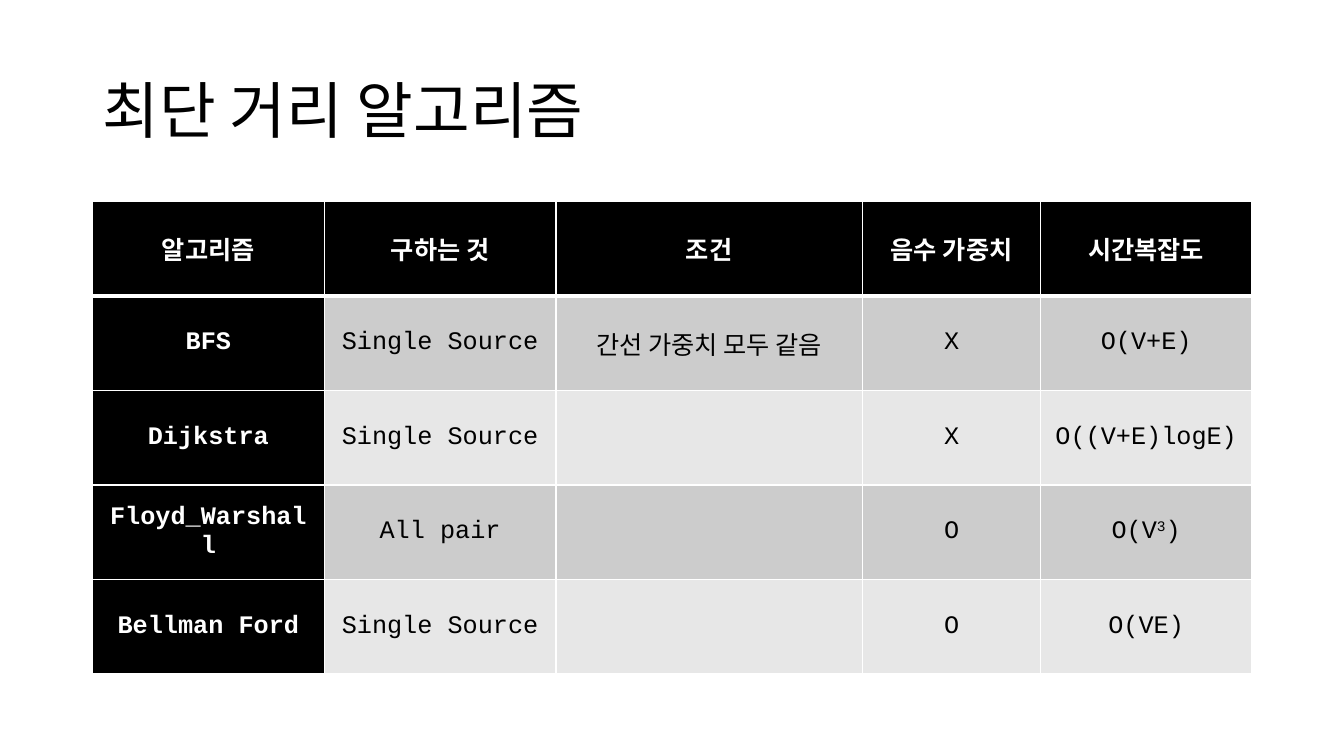
from dataclasses import dataclass

from lxml.etree import SubElement
from pptx import Presentation
from pptx.dml.color import RGBColor
from pptx.enum.text import MSO_ANCHOR, PP_ALIGN
from pptx.oxml.ns import qn
from pptx.util import Cm, Pt

TITLE = "최단 거리 알고리즘"
HEADER = ("알고리즘", "구하는 것", "조건", "음수 가중치", "시간복잡도")
# A tuple inside a row holds the spans of one cell; every second span is raised.
ALGORITHMS = (
    ("BFS", "Single Source", "간선 가중치 모두 같음", "X", "O(V+E)"),
    ("Dijkstra", "Single Source", "", "X", "O((V+E)logE)"),
    ("Floyd_Warshall", "All pair", "", "O", ("O(V", "3", ")")),
    ("Bellman Ford", "Single Source", "", "O", "O(VE)"),
)
COLUMN_WIDTHS = (5.84, 5.84, 7.72, 4.5, 5.31)
ROW_HEIGHT = 2.38
LEFT, TITLE_TOP, TABLE_TOP = 2.33, 1.01, 5.08
TITLE_HEIGHT = 3.68


@dataclass(frozen=True)
class Theme:
    """Colours, font and type sizes of the slide."""
    dark: str = "000000"
    light: str = "FFFFFF"
    bands: tuple = ("CCCCCC", "E7E7E7")
    font: str = "Courier New"
    title_size: int = 44
    table_size: int = 18
    thin: int = 1
    thick: int = 3


THEME = Theme()


def add_span(para, text, *, size, color, bold=False, raised=False):
    """Add one formatted span to a paragraph."""
    span = para.add_run()
    span.text = text
    span.font.name = THEME.font
    span.font.size = Pt(size)
    span.font.bold = bold
    span.font.color.rgb = RGBColor.from_string(color)
    if raised:
        span._r.get_or_add_rPr().set("baseline", "30000")


def set_borders(cell, **widths):
    """Draw light cell borders; widths in points are keyed by side L, R, T, B."""
    properties = cell._tc.get_or_add_tcPr()
    for index, (side, width) in enumerate(widths.items()):
        line = SubElement(properties, qn(f"a:ln{side}"), w=str(Pt(width)))
        fill = SubElement(line, qn("a:solidFill"))
        SubElement(fill, qn("a:srgbClr"), val=THEME.light)
        properties.insert(index, line)


def fill_cell(cell, content, row, column):
    """Write and format one table cell according to its place."""
    heading = row == 0 or column == 0
    background = THEME.dark if heading else THEME.bands[(row - 1) % 2]
    cell.fill.solid()
    cell.fill.fore_color.rgb = RGBColor.from_string(background)
    cell.vertical_anchor = MSO_ANCHOR.MIDDLE
    set_borders(cell, L=THEME.thin, R=THEME.thin,
                T=THEME.thick if row == 1 else THEME.thin,
                B=THEME.thick if row == 0 else THEME.thin)
    para = cell.text_frame.paragraphs[0]
    para.alignment = PP_ALIGN.CENTER
    spans = content if isinstance(content, tuple) else (content,)
    for index, text in enumerate(spans):
        if text:
            add_span(para, text, size=THEME.table_size, bold=heading,
                     color=THEME.light if heading else THEME.dark,
                     raised=index % 2 == 1)


def add_title(page):
    """Place and format the title placeholder."""
    box = page.shapes.title
    box.left, box.top = Cm(LEFT), Cm(TITLE_TOP)
    box.width, box.height = Cm(sum(COLUMN_WIDTHS)), Cm(TITLE_HEIGHT)
    box.text_frame.vertical_anchor = MSO_ANCHOR.MIDDLE
    para = box.text_frame.paragraphs[0]
    para.alignment = PP_ALIGN.LEFT
    para.line_spacing = 0.9
    add_span(para, TITLE, size=THEME.title_size, color=THEME.dark)


def add_algorithm_table(page):
    """Add the comparison table of the algorithms."""
    rows = (HEADER, *ALGORITHMS)
    table = page.shapes.add_table(
        len(rows), len(HEADER), Cm(LEFT), Cm(TABLE_TOP),
        Cm(sum(COLUMN_WIDTHS)), Cm(ROW_HEIGHT * len(rows))).table
    table.first_col = True
    for column, width in zip(table.columns, COLUMN_WIDTHS):
        column.width = Cm(width)
    for row, contents in enumerate(rows):
        table.rows[row].height = Cm(ROW_HEIGHT)
        for column, content in enumerate(contents):
            fill_cell(table.cell(row, column), content, row, column)


deck = Presentation()
deck.slide_width, deck.slide_height = Cm(33.87), Cm(19.05)
page = deck.slides.add_slide(deck.slide_layouts.get_by_name("Title Only"))
add_title(page)
add_algorithm_table(page)
deck.save("out.pptx")
